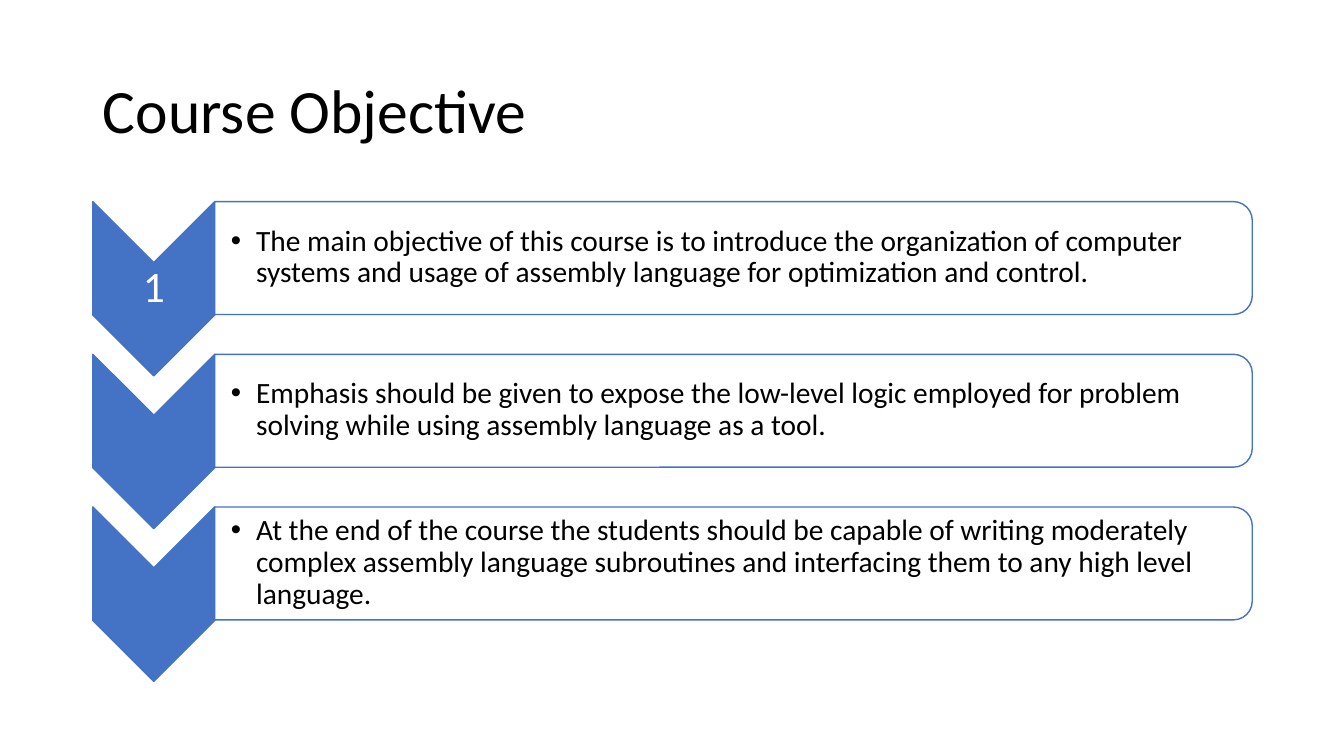
from lxml import etree
from pptx import Presentation
from pptx.dml.color import RGBColor
from pptx.enum.shapes import MSO_SHAPE as Shape
from pptx.enum.text import MSO_ANCHOR as Anchor, MSO_AUTO_SIZE as AutoSize, PP_ALIGN as Align
from pptx.oxml.ns import qn
from pptx.util import Inches, Pt

BLUE = RGBColor(0x44, 0x72, 0xC4)
WHITE = RGBColor(0xFF, 0xFF, 0xFF)
BLACK = RGBColor(0, 0, 0)
FONT = "Calibri"

OBJECTIVES = [
    ("1", "The main objective of this course is to introduce the organization of "
          "computer systems and usage of assembly language for optimization and control."),
    ("", "Emphasis should be given to expose the low-level logic employed for problem "
         "solving while using assembly language as a tool."),
    ("", "At the end of the course the students should be capable of writing moderately "
         "complex assembly language subroutines and interfacing them to any high level "
         "language."),
]
LEFT, TOP, ROW_PITCH = 0.92, 2, 1.515
CHEVRON_WIDTH, CHEVRON_HEIGHT = 1.21, 1.73
BAR_WIDTH, BAR_HEIGHT = 10.29, 1.12


def write_text(frame, text, size, color=BLACK, align=Align.LEFT, insets=None, bullet=False):
    """Fill a text frame; insets are left, top, right, bottom in inches."""
    frame.word_wrap = True
    frame.auto_size = AutoSize.NONE
    frame.vertical_anchor = Anchor.MIDDLE
    if insets:
        (frame.margin_left, frame.margin_top,
         frame.margin_right, frame.margin_bottom) = map(Inches, insets)
    paragraph = frame.paragraphs[0]
    paragraph.alignment = align
    paragraph.line_spacing = 0.9
    if bullet:
        properties = paragraph._p.get_or_add_pPr()
        properties.set("marL", str(Inches(0.25)))
        properties.set("indent", str(-Inches(0.25)))
        etree.SubElement(properties, qn("a:buFont"), typeface="Arial")
        etree.SubElement(properties, qn("a:buChar"), char="•")
    run = paragraph.add_run()
    run.text = text
    run.font.name = FONT
    run.font.size = Pt(size)
    run.font.color.rgb = color


def add_turned_shape(slide, kind, left, top, width, height, fill):
    """Add a shape turned 90 degrees clockwise that covers the given box."""
    shape = slide.shapes.add_shape(
        kind, Inches(left + (width - height) / 2), Inches(top + (height - width) / 2),
        Inches(height), Inches(width))
    shape.rotation = 90
    shape.shadow.inherit = False
    shape.fill.solid()
    shape.fill.fore_color.rgb = fill
    shape.line.color.rgb = BLUE
    shape.line.width = Pt(1)
    return shape


def add_text_box(slide, left, top, width, height, text, size, **text_format):
    box = slide.shapes.add_textbox(Inches(left), Inches(top), Inches(width), Inches(height))
    write_text(box.text_frame, text, size, **text_format)


def add_title(slide, left, top, width, height):
    title = slide.shapes.title
    title.left, title.top = Inches(left), Inches(top)
    title.width, title.height = Inches(width), Inches(height)
    write_text(title.text_frame, "Course Objective", 44)


def add_objective(slide, left, top, number, objective):
    add_turned_shape(slide, Shape.CHEVRON, left, top, CHEVRON_WIDTH, CHEVRON_HEIGHT, BLUE)
    if number:
        add_text_box(slide, left, top + CHEVRON_WIDTH / 2, CHEVRON_WIDTH, 0.52, number, 31,
                     color=WHITE, align=Align.CENTER, insets=(0.02,) * 4)
    bar_left = left + CHEVRON_WIDTH
    bar = add_turned_shape(slide, Shape.ROUND_2_SAME_RECTANGLE, bar_left, top,
                           BAR_WIDTH, BAR_HEIGHT, WHITE)
    fill_color = bar._element.spPr.find(qn("a:solidFill"))[0]
    etree.SubElement(fill_color, qn("a:alpha"), val="90000")
    add_text_box(slide, bar_left, top + 0.05, BAR_WIDTH - 0.05, BAR_HEIGHT - 0.11,
                 objective, 21, insets=(0.16, 0.01, 0.01, 0.01), bullet=True)


def main():
    deck = Presentation()
    deck.slide_width, deck.slide_height = Inches(13.33), Inches(7.5)
    slide = deck.slides.add_slide(deck.slide_layouts[5])
    add_title(slide, LEFT, 0.4, 11.5, 1.45)
    for row, (number, objective) in enumerate(OBJECTIVES):
        add_objective(slide, LEFT, TOP + row * ROW_PITCH, number, objective)
    deck.save("out.pptx")


if __name__ == "__main__":
    main()
